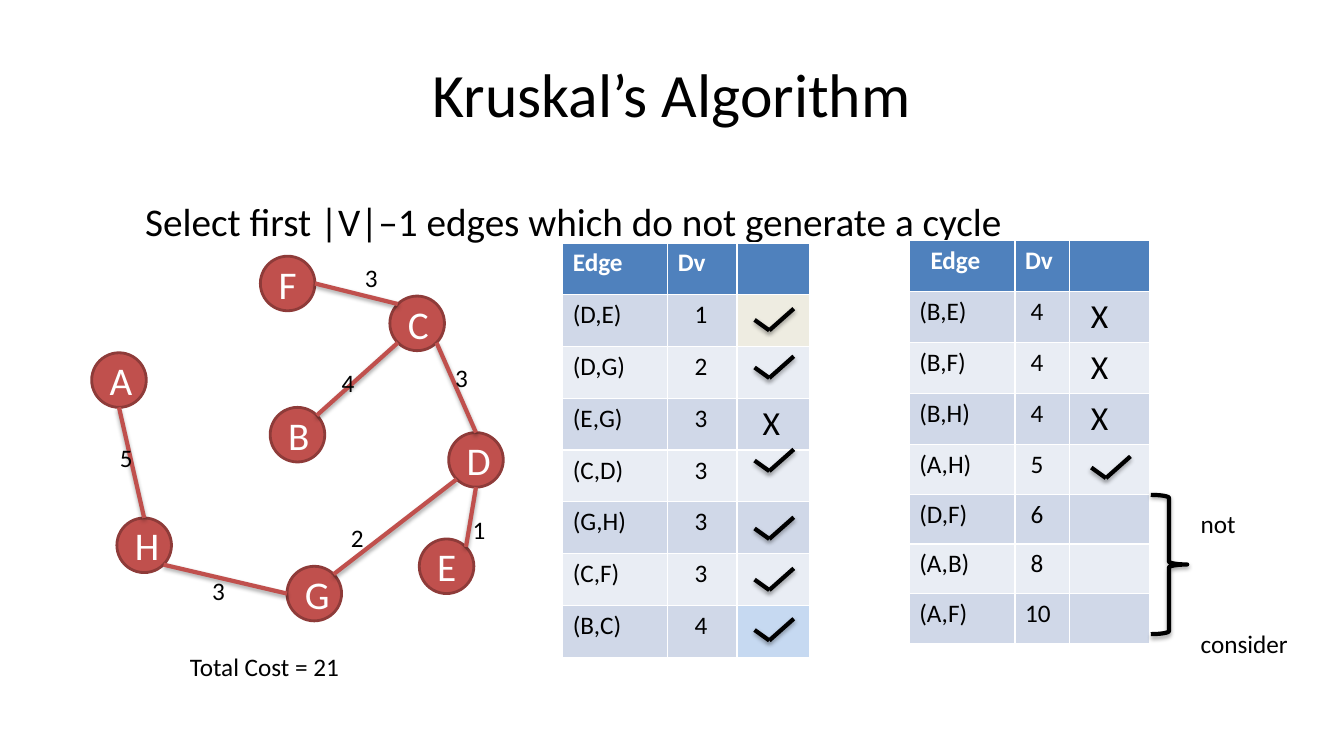
from dataclasses import dataclass
from lxml import etree
from pptx import Presentation
from pptx.dml.color import RGBColor as RGB
from pptx.enum.shapes import MSO_CONNECTOR as LINK, MSO_SHAPE as SHAPE
from pptx.enum.text import MSO_ANCHOR as ANCHOR, MSO_AUTO_SIZE as FIT, PP_ALIGN as ALIGN
from pptx.oxml import parse_xml
from pptx.oxml.ns import qn
from pptx.util import Pt


@dataclass(frozen=True)
class Theme:
    font: str = "Calibri"
    ink: str = "000000"
    light: str = "FFFFFF"
    red: str = "C0504D"
    rim: str = "8E3B39"
    head: str = "4F81BD"
    bands: tuple = ("D0D8E8", "E9EDF4")
    first: str = "EEECE1"
    last: str = "C6D9F1"
    title: int = 44
    large: int = 28
    mark: int = 24
    small: int = 18


T = Theme()
SHADE = ('<a:effectLst xmlns:a="http://schemas.openxmlformats.org/drawingml/2006/main">'
         '<a:outerShdw blurRad="40000" dist="23000" dir="5400000" rotWithShape="0">'
         '<a:srgbClr val="000000"><a:alpha val="35000"/></a:srgbClr>'
         '</a:outerShdw></a:effectLst>')


def put(frame, text, size=T.small, color=T.ink, bold=False, align=ALIGN.LEFT,
        anchor=ANCHOR.TOP, gap=0):
    """Write one paragraph per line of text, with a gap between them."""
    frame.word_wrap = True
    frame.auto_size = FIT.NONE
    frame.vertical_anchor = anchor
    for i, part in enumerate(text.split("\n")):
        para = frame.add_paragraph() if i else frame.paragraphs[0]
        para.alignment = align
        para.space_before = Pt(gap if i else 0)
        run = para.add_run()
        run.text = part
        font = run.font
        font.name, font.size, font.bold = T.font, Pt(size), bold
        font.color.rgb = RGB.from_string(color)


def draw(shape, color):
    """Give a line its thick stroke and soft shadow."""
    shape.line.color.rgb = RGB.from_string(color)
    shape.line.width = Pt(3)
    shape._element.spPr.append(parse_xml(SHADE))


deck = Presentation()
deck.slide_width, deck.slide_height = Pt(960), Pt(540)
slide = deck.slides.add_slide(deck.slide_layouts[1])
shapes = slide.shapes

# Title and body
title, body = slide.placeholders
for item, box in ((title, (48, 21.5, 864, 90)), (body, (96.5, 137, 854.5, 347))):
    item.left, item.top, item.width, item.height = map(Pt, box)
put(title.text_frame, "Kruskal’s Algorithm", size=T.title, align=ALIGN.CENTER,
    anchor=ANCHOR.MIDDLE)
put(body.text_frame, "Select first |V|–1 edges which do not generate a cycle", size=T.large)
props = body.text_frame.paragraphs[0]._p.get_or_add_pPr()
props.set("marL", "0")
props.set("indent", "0")
etree.SubElement(props, qn("a:buNone"))

# Graph nodes, by top left corner
SIDE = 39
nodes = {"F": (186, 183), "A": (65.5, 252), "H": (83.5, 370), "G": (205, 404.5),
         "E": (299.5, 385), "D": (320.5, 309), "C": (278.5, 211.5), "B": (193, 291)}
for name, (x, y) in nodes.items():
    node = shapes.add_shape(SHAPE.OVAL, Pt(x), Pt(y), Pt(SIDE), Pt(SIDE))
    node.shadow.inherit = False
    node.fill.solid()
    node.fill.fore_color.rgb = RGB.from_string(T.red)
    node.line.color.rgb = RGB.from_string(T.rim)
    node.line.width = Pt(2)
    put(node.text_frame, name, size=T.large, color=T.light, align=ALIGN.CENTER,
        anchor=ANCHOR.MIDDLE)

# Graph edges: each end is a node and the compass point on its rim
DIAG = 0.71
rim = {"N": (0, -1), "S": (0, 1), "W": (-1, 0), "E": (1, 0), "NW": (-DIAG, -DIAG),
       "NE": (DIAG, -DIAG), "SW": (-DIAG, DIAG), "SE": (DIAG, DIAG)}
edges = [("A", "S", "H", "N"), ("H", "SE", "G", "W"), ("E", "NE", "D", "S"),
         ("D", "N", "C", "SE"), ("C", "NW", "F", "E"), ("B", "NE", "C", "SW"),
         ("D", "SW", "G", "NE")]
strokes = []
for start, out, end, into in edges:
    ends = [nodes[n][k] + SIDE / 2 * (1 + rim[way][k])
            for n, way in ((start, out), (end, into)) for k in (0, 1)]
    strokes.append((ends, T.red))

# Check marks, by the point where the two strokes meet
knees = [(549.5, y) for y in (236, 270, 336.5, 385, 421.5, 457.5)] + [(790, 341.5)]
for x, y in knees:
    strokes.append(((x - 10.5, y - 7.5, x, y), T.ink))
    strokes.append(((x, y, x + 17.5, y - 15.5), T.ink))

# Edge tables: place, column widths, row heights, indents, rows
tables = [
    ((402, 173.5), (75, 49.5, 52), (37, 37), (0, 12, 11), 0,
     [("(D,E)", "1", ""), ("(D,G)", "2", ""), ("(E,G)", "3", "X"), ("(C,D)", "3", ""),
      ("(G,H)", "3", ""), ("(C,F)", "3", ""), ("(B,C)", "4", "")]),
    ((649.5, 172), (75.5, 39, 57.5), (36, 35.5), (0, 4, 8), 8,
     [("(B,E)", "4", "X"), ("(B,F)", "4", "X"), ("(B,H)", "4", "X"), ("(A,H)", "5", ""),
      ("(D,F)", "6", ""), ("(A,B)", "8", ""), ("(A,F)", "10", "")]),
]
grids = []
for (x, y), widths, (top, high), insets, lead, rows in tables:
    full = [("Edge", "Dv", "")] + rows
    tall = top + high * len(rows)
    grid = shapes.add_table(len(full), 3, Pt(x), Pt(y), Pt(sum(widths)), Pt(tall)).table
    grids.append(grid)
    for col, width in zip(grid.columns, widths):
        col.width = Pt(width)
    for r, row in enumerate(full):
        grid.rows[r].height = Pt(high if r else top)
        for c, text in enumerate(row):
            cell = grid.cell(r, c)
            cell.fill.solid()
            shade = T.bands[(r - 1) % 2] if r else T.head
            cell.fill.fore_color.rgb = RGB.from_string(shade)
            if not text:
                continue
            inset = insets[c] if r else (lead, 0, 0)[c]
            if text == "10":
                inset = 0
            cell.margin_left = Pt(7.2 + inset)
            para = cell.text_frame.paragraphs[0]
            run = para.add_run()
            run.text = text
            font = run.font
            font.name, font.bold = T.font, r == 0
            font.size = Pt(T.mark if text == "X" else T.small)
            font.color.rgb = RGB.from_string(T.ink if r else T.light)
for r, shade in ((1, T.first), (7, T.last)):
    grids[0].cell(r, 2).fill.fore_color.rgb = RGB.from_string(shade)

# All straight strokes
for ends, color in strokes:
    draw(shapes.add_connector(LINK.STRAIGHT, *map(Pt, ends)), color)

# Brace over the unused edges
brace = shapes.add_shape(SHAPE.RIGHT_BRACE, Pt(822), Pt(353.5), Pt(26), Pt(99.5))
brace.fill.background()
draw(brace, T.ink)

# Edge weights and notes
labels = [("1", 330.5, 363.5, 24, 23), ("5", 78.5, 312.5, 24, 23), ("3", 318, 255, 24, 23),
          ("3", 144.5, 407.5, 24, 23), ("4", 237, 258.5, 24, 23), ("2", 243.5, 369.5, 24, 29),
          ("3", 253.5, 183.5, 24, 29), ("not\nconsider", 850.5, 359.5, 82, 117),
          ("Total Cost = 21", 128.5, 462, 127, 29)]
for text, *box in labels:
    put(shapes.add_textbox(*map(Pt, box)).text_frame, text, gap=64.5)

deck.save("out.pptx")
